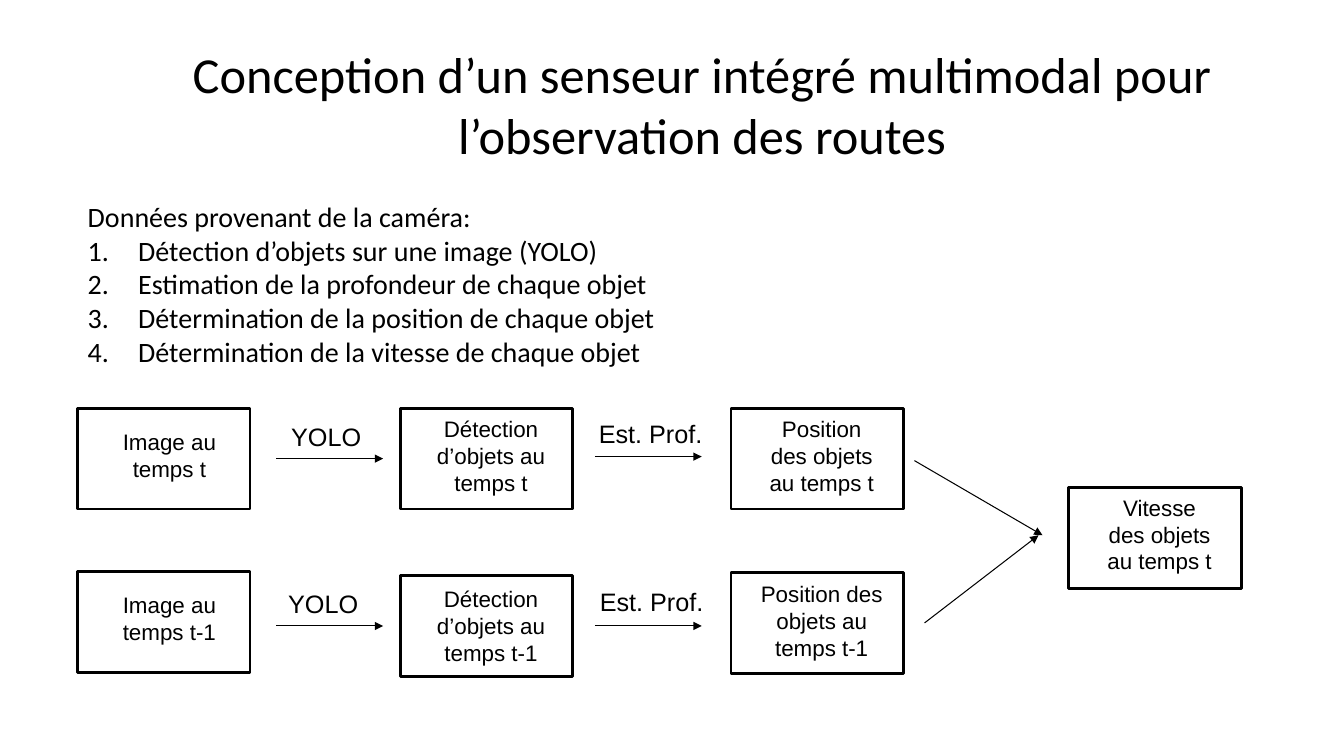
from lxml.etree import SubElement
from pptx import Presentation
from pptx.dml.color import RGBColor
from pptx.enum.shapes import MSO_CONNECTOR, MSO_SHAPE
from pptx.enum.text import MSO_ANCHOR, MSO_AUTO_SIZE, PP_ALIGN
from pptx.oxml.ns import qn
from pptx.util import Inches, Pt

COLORS = {"ink": RGBColor.from_string("000000"), "paper": RGBColor.from_string("FFFFFF")}
BOX_WIDTH, BOX_HEIGHT = 1.71, 1

presentation = Presentation()
presentation.slide_width = Inches(13.33)
presentation.slide_height = Inches(7.5)
slide = presentation.slides.add_slide(presentation.slide_layouts[1])


def write(text, at, holder=None, size=16, font="Arial", align=PP_ALIGN.CENTER):
    """Put text, one paragraph a line, in a placeholder or a new text box."""
    left, top, width, height = [Inches(length) for length in at]
    if holder is None:
        holder = slide.shapes.add_textbox(left, top, width, height)
    holder.left, holder.top, holder.width, holder.height = left, top, width, height
    frame = holder.text_frame
    frame.word_wrap = True
    frame.auto_size = MSO_AUTO_SIZE.NONE
    frame.vertical_anchor = MSO_ANCHOR.TOP
    frame.text = text
    for paragraph in frame.paragraphs:
        paragraph.alignment = align
        paragraph.space_before = Pt(0)
        for run in paragraph.runs:
            run.font.size = Pt(size)
            run.font.name = font
            run.font.color.rgb = COLORS["ink"]
    return frame


# Title and numbered steps
write("Conception d’un senseur intégré multimodal pour l’observation des routes",
      (1.02, 0.38, 11.89, 1.3), slide.shapes.title, size=36, font="Calibri")

steps = write("\n".join([
    "Données provenant de la caméra:",
    "Détection d’objets sur une image (YOLO)",
    "Estimation de la profondeur de chaque objet",
    "Détermination de la position de chaque objet",
    "Détermination de la vitesse de chaque objet",
]), (0.77, 1.93, 8.83, 2.1), slide.placeholders[1], size=20, font="Calibri", align=PP_ALIGN.LEFT)

for index, paragraph in enumerate(steps.paragraphs):
    properties = paragraph._p.get_or_add_pPr()
    indent = Inches(0.5) if index else 0
    properties.set("marL", str(indent))
    properties.set("indent", str(-indent))
    if index:
        SubElement(properties, qn("a:buFont"), typeface="Calibri")
        SubElement(properties, qn("a:buAutoNum"), type="arabicPeriod")
    else:
        SubElement(properties, qn("a:buNone"))

# Processing stages: box corner, caption, caption area
stages = [
    (0.77, 4.05, "Image au temps t", (1.02, 4.2, 1.32, 0.63)),
    (0.77, 5.67, "Image au temps t-1", (1.02, 5.82, 1.32, 0.63)),
    (3.97, 4.05, "Détection d’objets au temps t", (4.21, 4.07, 1.32, 0.9)),
    (3.97, 5.71, "Détection d’objets au temps t-1", (4.21, 5.76, 1.32, 0.9)),
    (7.25, 4.05, "Position des objets au temps t", (7.49, 4.07, 1.32, 0.9)),
    (7.25, 5.68, "Position des objets au temps t-1", (7.42, 5.71, 1.46, 0.9)),
    (10.6, 4.84, "Vitesse des objets au temps t", (10.84, 4.85, 1.32, 0.9)),
]
for left, top, caption, caption_at in stages:
    box = slide.shapes.add_shape(MSO_SHAPE.RECTANGLE, Inches(left), Inches(top),
                                 Inches(BOX_WIDTH), Inches(BOX_HEIGHT))
    box.shadow.inherit = False
    box.fill.solid()
    box.fill.fore_color.rgb = COLORS["paper"]
    box.line.color.rgb = COLORS["ink"]
    box.line.width = Pt(2)
    write(caption, caption_at)

# Arrows between the stages
flows = [
    (2.74, 4.55, 3.8, 4.55),
    (2.74, 6.21, 3.8, 6.21),
    (5.9, 4.53, 6.96, 4.53),
    (5.9, 6.21, 6.96, 6.21),
    (9.07, 4.57, 10.34, 5.31),
    (9.17, 6.18, 10.3, 5.31),
]
for flow in flows:
    arrow = slide.shapes.add_connector(MSO_CONNECTOR.STRAIGHT, *[Inches(end) for end in flow])
    arrow.line.color.rgb = COLORS["ink"]
    arrow.line.width = Pt(0.75)
    SubElement(arrow.line._get_or_add_ln(), qn("a:tailEnd"), type="triangle")
    SubElement(arrow._element.spPr, qn("a:effectLst"))

# Methods named above the arrows
methods = [
    ("YOLO", 2.79, 4.13, 0.94),
    ("YOLO", 2.76, 5.79, 0.94),
    ("Est. Prof.", 5.84, 4.1, 1.29),
    ("Est. Prof.", 5.85, 5.77, 1.29),
]
for method, left, top, width in methods:
    write(method, (left, top, width, 0.4), size=18, align=PP_ALIGN.LEFT)

presentation.save("out.pptx")
